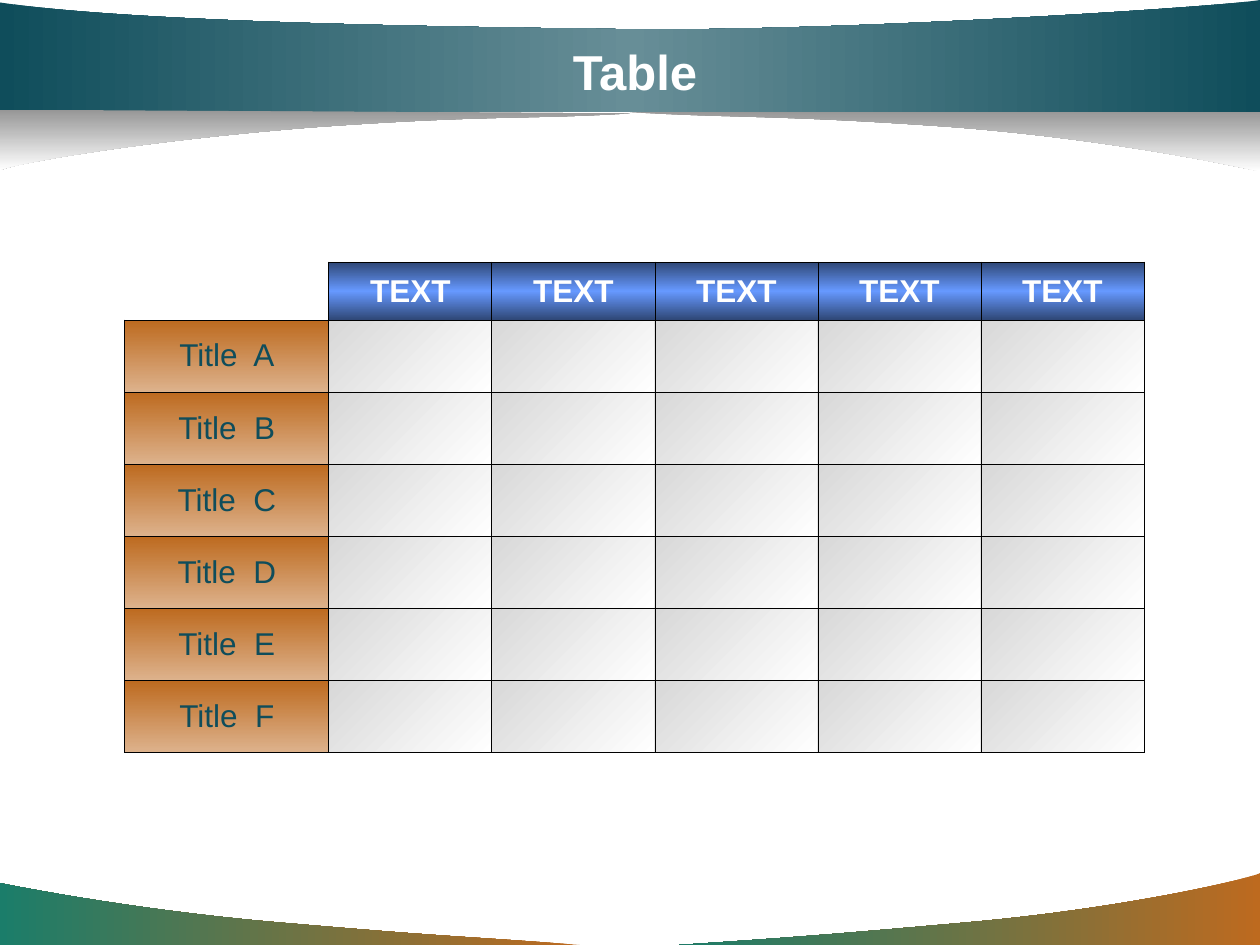
from lxml.etree import SubElement as Sub
from pptx import Presentation
from pptx.dml.color import RGBColor as Rgb
from pptx.enum.text import MSO_ANCHOR as Anchor, PP_ALIGN as Align
from pptx.oxml.ns import qn
from pptx.util import Inches, Pt

COLORS = {
    "teal": "0F4D5B", "mist": "678E97", "green": "1B7D6A",
    "orange": "BD6A1F", "sand": "DDB28C", "navy": "2F4776",
    "blue": "6699FF", "shade": "969696", "silver": "D8D8D8",
    "white": "FFFFFF", "black": "000000",
}
FONT = "Arial"
HEADINGS = ["TEXT"] * 5
ROW_TITLES = [f"Title  {letter}" for letter in "ABCDEF"]
TABLE_LEFT, TABLE_TOP, TABLE_WIDTH, TABLE_HEIGHT = 0.99, 2.08, 8.09, 3.89
TITLE_COLUMN, HEADING_ROW = 1.62, 0.46

FOOTER_BLEND = (["orange", "green"], 180)
SHADOW_BLEND = (["shade", "white"], 90)
BANNER_BLEND = (["teal", "mist", "teal"], 180)
HEADING_BLEND = (["navy", "blue", "navy"], 90)
ROW_TITLE_BLEND = (["orange", "sand"], 90)
BODY_BLEND = (["white", "silver"], 225)

WAVES = [
    (FOOTER_BLEND, (4.6, 7.5), [
        [(3.84, 7.44), (3.58, 7.44), (2.32, 7.33)],
        [(1.06, 7.23), (0.01, 7.01), (0, 7.01)],
        [(0, 7.5)]]),
    (FOOTER_BLEND, (5.39, 7.5), [
        [(6.14, 7.45), (6.46, 7.43), (7.69, 7.32)],
        [(8.92, 7.21), (9.9, 6.98), (10, 6.93)],
        [(10, 7.5)]]),
    (SHADOW_BLEND, (5, 0.89), [
        [(5.84, 0.94), (6.2, 0.91), (7.58, 1.01)],
        [(8.97, 1.12), (9.98, 1.36), (10, 1.36)],
        [(10, 0.88)]]),
    (BANNER_BLEND, (0, 0.89), [
        [(10, 0.89)],
        [(10, 0)],
        [(9.64, 0.06), (6.53, 0.26), (4.87, 0.23)],
        [(3.21, 0.21), (1.01, 0.17), (0, 0.02)]]),
    (SHADOW_BLEND, (5, 0.9), [
        [(4.16, 0.95), (3.88, 0.91), (2.49, 1.01)],
        [(1.1, 1.12), (0.11, 1.3), (0, 1.35)],
        [(0, 0.87)]]),
]


def apply_blend(fill, properties, blend):
    names, clockwise = blend
    fill.gradient()
    fill.gradient_angle = 360 - clockwise
    stops = properties.find(qn("a:gradFill")).find(qn("a:gsLst"))
    for stop in list(stops):
        stops.remove(stop)
    for index, name in enumerate(names):
        position = 100000 * index // (len(names) - 1)
        stop = Sub(stops, qn("a:gs"), pos=str(position))
        Sub(stop, qn("a:srgbClr"), val=COLORS[name])


def bend_lines(wave, steps):
    lines = iter(list(wave.element.iter(qn("a:lnTo"))))
    for step in steps:
        first, *others = [next(lines) for _ in step]
        if others:
            first.tag = qn("a:cubicBezTo")
            for other in others:
                first.append(other[0])
                other.getparent().remove(other)


def add_wave(slide, blend, start, steps):
    builder = slide.shapes.build_freeform(Inches(start[0]), Inches(start[1]))
    steps = [*steps, [start]]
    points = [(Inches(x), Inches(y)) for step in steps for x, y in step]
    builder.add_line_segments(points, close=True)
    wave = builder.convert_to_shape()
    bend_lines(wave, steps)
    wave.shadow.inherit = False
    wave.line.fill.background()
    apply_blend(wave.fill, wave.element.spPr, blend)
    slide.shapes.title.element.addprevious(wave.element)


def write(frame, text, size, color, bold):
    frame.text = text
    line = frame.paragraphs[0]
    line.alignment = Align.CENTER
    line.font.name = FONT
    line.font.size = Pt(size)
    line.font.bold = bold
    line.font.color.rgb = Rgb.from_string(COLORS[color])


def add_title(slide):
    title = slide.shapes.title
    title.left, title.top = Inches(0.75), Inches(0.25)
    title.width, title.height = Inches(8.58), Inches(0.62)
    title.text_frame.vertical_anchor = Anchor.MIDDLE
    write(title.text_frame, "Table", 28, "white", True)


def draw_borders(cell, sides):
    properties = cell._tc.get_or_add_tcPr()
    for side in sides:
        border = Sub(properties, qn(f"a:ln{side}"), w=str(Pt(0.45)))
        paint = Sub(border, qn("a:solidFill"))
        Sub(paint, qn("a:srgbClr"), val=COLORS["black"])
    return properties


def fill_cell(cell, blend, text="", color="black", bold=False):
    properties = draw_borders(cell, "LRTB")
    apply_blend(cell.fill, properties, blend)
    if text:
        cell.vertical_anchor = Anchor.MIDDLE
        write(cell.text_frame, text, 18, color, bold)


def add_grid(slide):
    frame = slide.shapes.add_table(
        len(ROW_TITLES) + 1, len(HEADINGS) + 1,
        Inches(TABLE_LEFT), Inches(TABLE_TOP),
        Inches(TABLE_WIDTH), Inches(TABLE_HEIGHT))
    grid = frame.table
    grid.first_row = grid.horz_banding = False

    body_width = (TABLE_WIDTH - TITLE_COLUMN) / len(HEADINGS)
    body_height = (TABLE_HEIGHT - HEADING_ROW) / len(ROW_TITLES)
    for index, column in enumerate(grid.columns):
        column.width = Inches(body_width if index else TITLE_COLUMN)
    for index, row in enumerate(grid.rows):
        row.height = Inches(body_height if index else HEADING_ROW)

    corner = grid.cell(0, 0)
    draw_borders(corner, "RB")
    corner.fill.background()
    for column, heading in enumerate(HEADINGS, 1):
        fill_cell(grid.cell(0, column), HEADING_BLEND, heading, "white", True)
    for row, row_title in enumerate(ROW_TITLES, 1):
        fill_cell(grid.cell(row, 0), ROW_TITLE_BLEND, row_title, "teal")
        for column in range(1, len(HEADINGS) + 1):
            fill_cell(grid.cell(row, column), BODY_BLEND)


def main():
    deck = Presentation()
    deck.slide_width, deck.slide_height = Inches(10), Inches(7.5)
    slide = deck.slides.add_slide(deck.slide_layouts[5])
    for blend, start, steps in WAVES:
        add_wave(slide, blend, start, steps)
    add_title(slide)
    add_grid(slide)
    deck.save("out.pptx")


if __name__ == "__main__":
    main()
